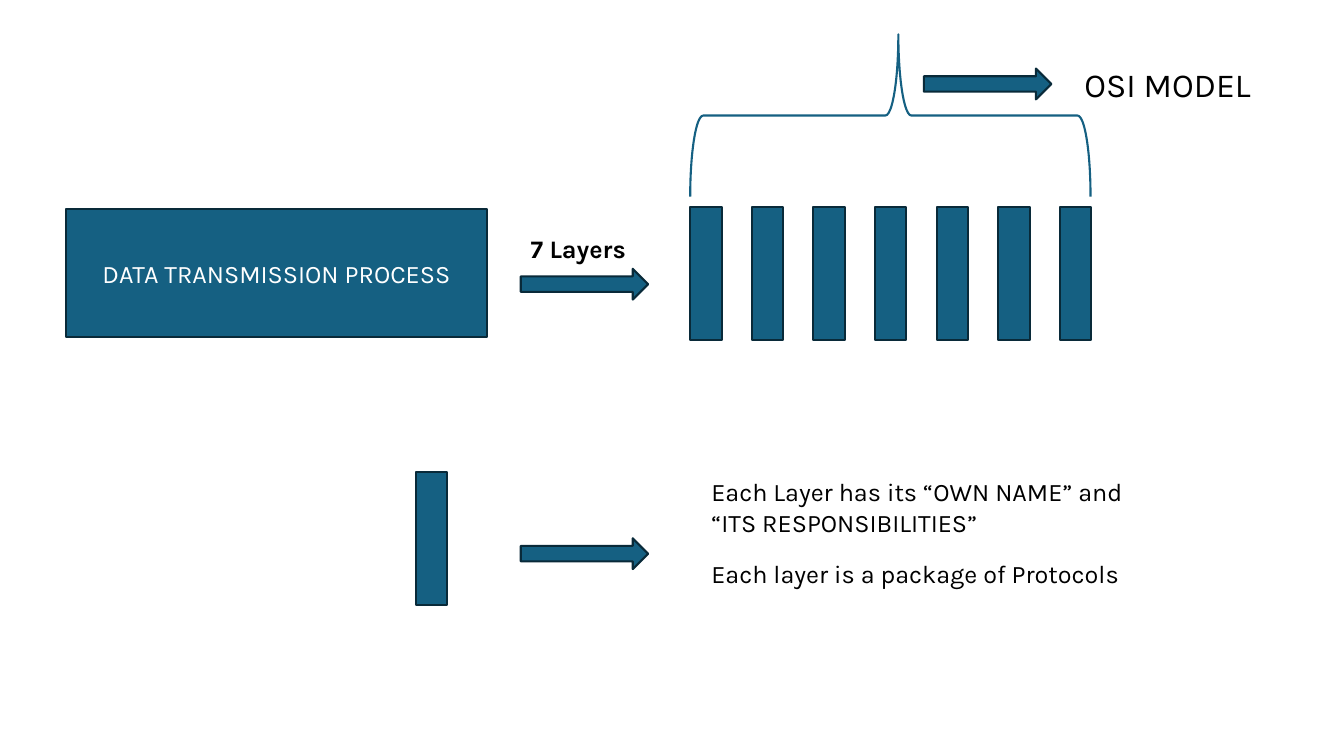
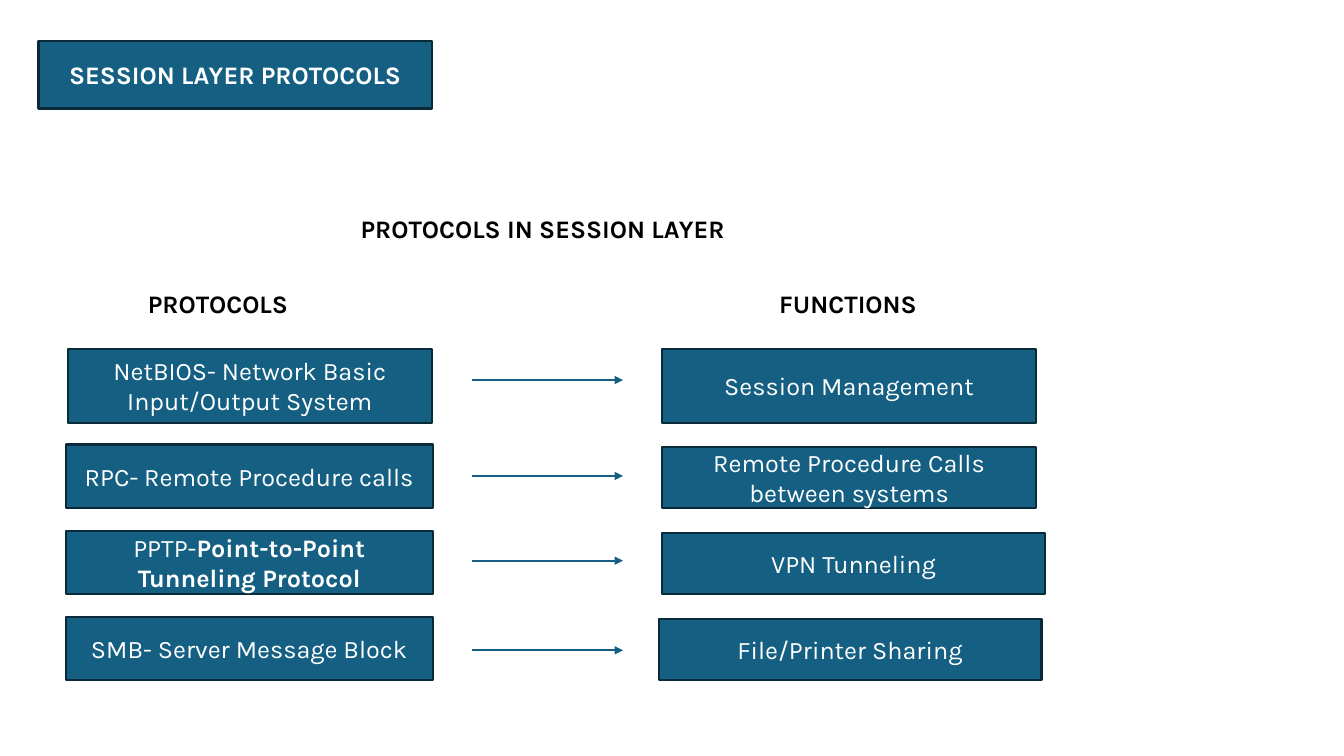
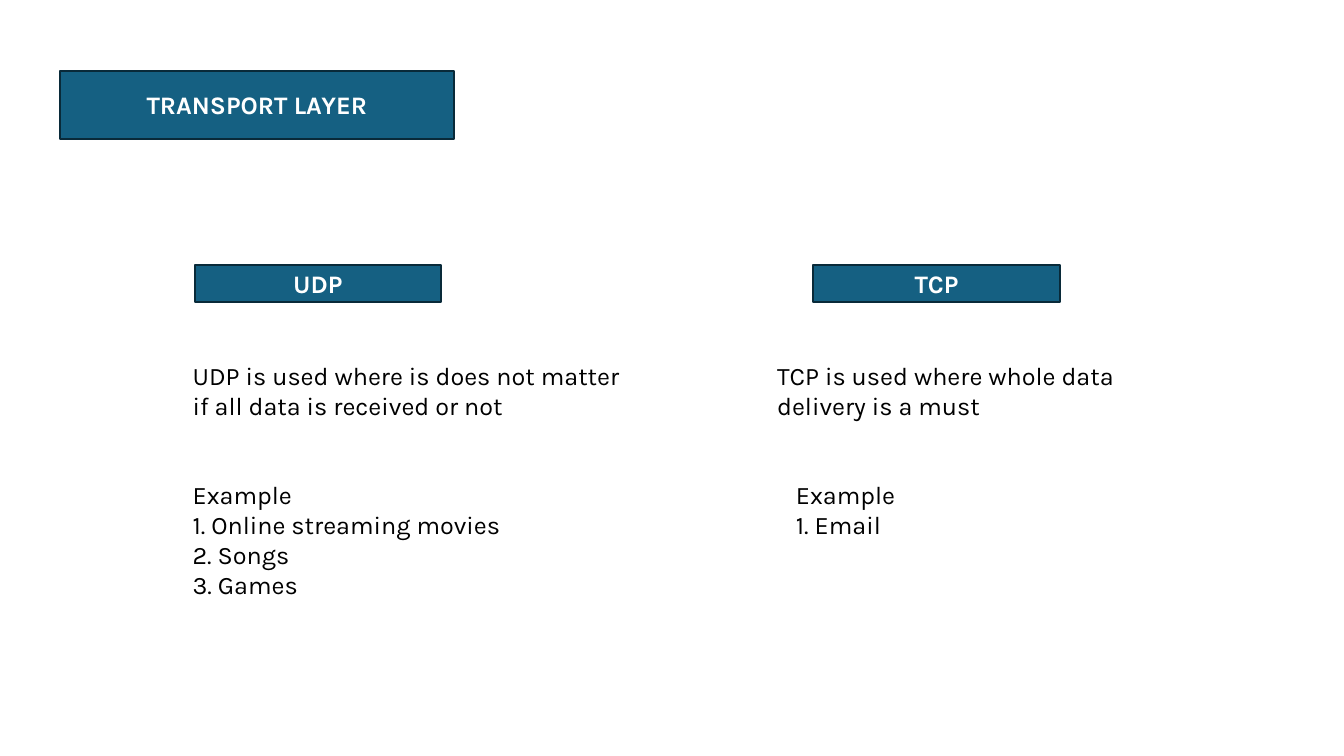
from lxml.etree import SubElement
from pptx import Presentation
from pptx.dml.color import RGBColor
from pptx.enum.shapes import MSO_CONNECTOR as Connector, MSO_SHAPE as Preset
from pptx.enum.text import MSO_ANCHOR as Anchor, MSO_AUTO_SIZE as AutoSize, PP_ALIGN as Align
from pptx.oxml.ns import qn
from pptx.util import Pt

BLUE = RGBColor(0x15, 0x60, 0x82)
NAVY = RGBColor(0x09, 0x2A, 0x39)
WHITE = RGBColor(0xFF, 0xFF, 0xFF)
BLACK = RGBColor(0x00, 0x00, 0x00)

TITLE_ONLY, BLANK = 5, 6


def apply(target, values):
    for name, value in values.items():
        setattr(target, name, value)


class Slides:
    """Holds the shared style and the slide being built."""

    font = {"name": "Karla", "size": Pt(18), "bold": False}
    box_frame = {"word_wrap": True, "auto_size": AutoSize.NONE,
                 "vertical_anchor": Anchor.MIDDLE,
                 "margin_left": Pt(7.2), "margin_right": Pt(7.2),
                 "margin_top": Pt(3.6), "margin_bottom": Pt(3.6)}
    label_frame = {"word_wrap": True, "auto_size": AutoSize.SHAPE_TO_FIT_TEXT}

    def __init__(self):
        self.deck = Presentation()
        apply(self.deck, {"slide_width": Pt(960), "slide_height": Pt(540)})
        self.page = None

    def add_page(self, layout):
        self.page = self.deck.slides.add_slide(self.deck.slide_layouts[layout])

    def add_text(self, frame, paragraphs, color, align, **font):
        """Each paragraph is a string, or a (regular, bold) pair."""
        for index, parts in enumerate(paragraphs):
            para = frame.add_paragraph() if index else frame.paragraphs[0]
            para.alignment = align
            parts = (parts,) if isinstance(parts, str) else parts
            for position, words in enumerate(parts):
                span = para.add_run()
                span.text = words
                apply(span.font, {**self.font, **font})
                if position:
                    span.font.bold = True
                span.font.color.rgb = color

    def paint(self, shape, edge=NAVY, fill=BLUE):
        shape.shadow.inherit = False
        if fill is None:
            shape.fill.background()
        else:
            shape.fill.solid()
            shape.fill.fore_color.rgb = fill
        shape.line.color.rgb = edge
        shape.line.width = Pt(1.5)

    def fill_box(self, box, text, **font):
        self.paint(box)
        apply(box.text_frame, self.box_frame)
        self.add_text(box.text_frame, [text], WHITE, Align.CENTER, **font)

    def title(self, left, top, text):
        box = self.page.shapes.title
        apply(box, {"left": Pt(left), "top": Pt(top), "width": Pt(281), "height": Pt(48.5)})
        self.fill_box(box, text, bold=True)

    def shape(self, preset, at):
        return self.page.shapes.add_shape(preset, *map(Pt, at))

    def box(self, at, text, **font):
        self.fill_box(self.shape(Preset.RECTANGLE, at), text, **font)

    def bar(self, left, top):
        self.paint(self.shape(Preset.RECTANGLE, (left, top, 22.5, 95)))

    def block_arrow(self, left, top):
        self.paint(self.shape(Preset.RIGHT_ARROW, (left, top, 91, 22)))

    def brace(self, at):
        brace = self.shape(Preset.RIGHT_BRACE, at)
        brace.rotation = 270
        brace.adjustments[0] = 0.08
        brace.adjustments[1] = 0.52
        self.paint(brace, edge=BLUE, fill=None)

    def label(self, at, *paragraphs, wrap=True, **font):
        box = self.page.shapes.add_textbox(*map(Pt, at))
        apply(box.text_frame, {**self.label_frame, "word_wrap": wrap})
        self.add_text(box.text_frame, paragraphs, BLACK, Align.LEFT, **font)

    def arrow(self, left, right, y):
        line = self.page.shapes.add_connector(
            Connector.STRAIGHT, Pt(left), Pt(y), Pt(right), Pt(y))
        line.line.color.rgb = BLUE
        line.line.width = Pt(1.5)
        properties = line._element.spPr
        SubElement(properties.find(qn("a:ln")), qn("a:tailEnd"), type="triangle")
        SubElement(properties, qn("a:effectLst"))


def osi_model(slides):
    slides.add_page(BLANK)

    # Process split into seven layers
    slides.box((47, 149.5, 301, 91.5), "DATA TRANSMISSION PROCESS")
    slides.label((372, 163, 124, 29), "7 Layers", bold=True)
    slides.block_arrow(372, 192)
    for layer in range(7):
        slides.bar(493 + 44 * layer, 148)

    # Brace naming the model
    slides.brace((578, -60.5, 116, 286))
    slides.block_arrow(660, 49)
    slides.label((767.5, 42, 164, 36), "OSI MODEL", size=Pt(24))

    # One layer explained
    slides.bar(297, 337)
    slides.block_arrow(372, 384.5)
    slides.label((501, 337, 317.5, 51),
                 "Each Layer has its “OWN NAME” and “ITS RESPONSIBILITIES”")
    slides.label((501, 395.5, 317.5, 29), "Each layer is a package of Protocols")


def session_layer(slides):
    slides.add_page(TITLE_ONLY)
    slides.title(27.5, 29, "SESSION LAYER PROTOCOLS")

    # Headings
    slides.label((250.5, 149, 440, 29), "PROTOCOLS IN SESSION LAYER", bold=True)
    slides.label((98.5, 202.5, 166, 29), "PROTOCOLS", bold=True)
    slides.label((549.5, 202.5, 204, 29), "FUNCTIONS", bold=True)

    # Protocol, its box, function, its box, height of the arrow
    rows = [
        ("NetBIOS- Network Basic Input/Output System", (48.5, 249, 260, 53),
         "Session Management", (473, 249, 267, 53), 271.5),
        ("RPC- Remote Procedure calls", (47, 317.5, 262, 45.5),
         "Remote Procedure Calls between systems", (473, 319.5, 267, 43.5), 340),
        (("PPTP-", "Point-to-Point Tunneling Protocol"), (47, 379, 262, 45.5),
         "VPN Tunneling", (473, 381, 273.5, 43.5), 400.5),
        ("SMB- Server Message Block", (47, 440.5, 262, 45.5),
         "File/Printer Sharing", (470.5, 442, 273.5, 43.5), 464.5),
    ]
    for protocol, protocol_at, function, function_at, arrow_y in rows:
        slides.box(protocol_at, protocol)
        slides.box(function_at, function)
        slides.arrow(337, 445, arrow_y)


def transport_layer(slides):
    slides.add_page(TITLE_ONLY)
    slides.title(43, 50.5, "TRANSPORT LAYER")

    # UDP column
    slides.box((139, 189.5, 176, 26), "UDP", bold=True)
    slides.label((130.5, 253.5, 320.5, 51),
                 "UDP is used where is does not matter if all data is received or not")
    slides.label((130.5, 338.5, 253.5, 116.5),
                 "Example", "1. Online streaming movies", "2. Songs", "3. Games")

    # TCP column
    slides.box((581, 189.5, 176, 26), "TCP", bold=True)
    slides.label((548, 253.5, 320.5, 51),
                 "TCP is used where whole data delivery is a must")
    slides.label((561.5, 338.5, 85.5, 51), "Example", "1. Email", wrap=False)


def main():
    slides = Slides()
    for build in (osi_model, session_layer, transport_layer):
        build(slides)
    slides.deck.save("out.pptx")


if __name__ == "__main__":
    main()
